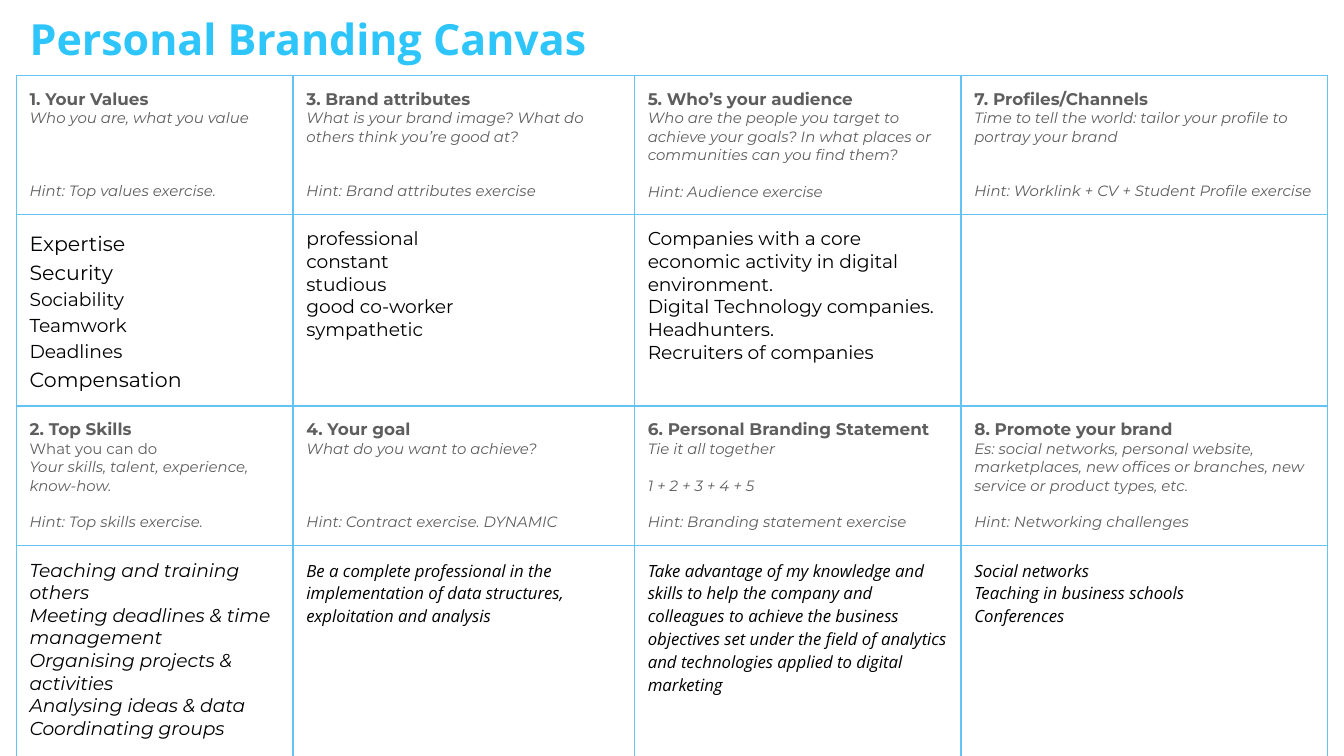
from dataclasses import dataclass

from lxml.etree import SubElement
from pptx import Presentation
from pptx.dml.color import RGBColor
from pptx.enum.text import MSO_ANCHOR as Anchor, MSO_AUTO_SIZE as AutoSize, PP_ALIGN as Align
from pptx.oxml.ns import qn
from pptx.util import Inches, Pt

TITLE_BLUE = RGBColor(0x2D, 0xC5, 0xFA)
BORDER_BLUE = RGBColor(0x64, 0xC3, 0xF5)
GREY = RGBColor(0x5E, 0x5E, 0x5E)
BLACK = RGBColor(0, 0, 0)

MONTSERRAT = "Montserrat"
OPEN_SANS = "Open Sans"

COLUMN_WIDTHS = [2.06, 2.54, 2.43, 2.73]
ROW_HEIGHTS = [0.99, 1.29, 1.04, 1.64]
MARGIN = Inches(0.1)
NOTE_LINE = 9.75  # height in points of one line of 8 pt Montserrat


@dataclass
class Line:
    """One line of text; with joined set, the next line stays in its paragraph."""
    text: str
    size: float = 10
    color: RGBColor = BLACK
    font: str = MONTSERRAT
    bold: bool = False
    italic: bool = False
    spacing: float = 1.0
    before: float = 0
    joined: bool = False


def heading(text, joined=False):
    return Line(text, 9, GREY, bold=True, joined=joined)


def note(text, gap=0, italic=True):
    """A small grey line, with a gap above it counted in lines."""
    return Line(text, 8, GREY, italic=italic, before=gap * NOTE_LINE)


def answers(*texts, **style):
    return [Line(text, **style) for text in texts]


def values(*sized_texts):
    return [Line(text, size, spacing=1.15) for text, size in sized_texts]


def statements(*texts):
    return answers(*texts, size=9, font=OPEN_SANS, italic=True)


CANVAS = [
    [
        [heading("1. Your Values"),
         note("Who you are, what you value"),
         note("Hint: Top values exercise.", gap=3)],
        [heading("3. Brand attributes"),
         note("What is your brand image? What do others think you’re good at?"),
         note("Hint: Brand attributes exercise", gap=2)],
        [heading("5. Who’s your audience", joined=True),
         note("Who are the people you target to achieve your goals? "
              "In what places or communities can you find them?"),
         note("Hint: Audience exercise", gap=1)],
        [heading("7. Profiles/Channels"),
         note("Time to tell the world: tailor your profile to portray your brand"),
         note("Hint: Worklink + CV + Student Profile exercise", gap=2)],
    ],
    [
        values(("Expertise", 11), ("Security", 11), ("Sociability", 10),
               ("Teamwork", 10), ("Deadlines", 10), ("Compensation", 11)),
        answers("professional", "constant", "studious", "good co-worker", "sympathetic"),
        answers("Companies with a core economic activity in digital environment.",
                "Digital Technology companies.", "Headhunters.", "Recruiters of companies"),
        [],
    ],
    [
        [heading("2. Top Skills"),
         note("What you can do", italic=False),
         note("Your skills, talent, experience, know-how."),
         note("Hint: Top skills exercise.", gap=1)],
        [heading("4. Your goal"),
         note("What do you want to achieve?"),
         note("Hint: Contract exercise. DYNAMIC", gap=3)],
        [heading("6. Personal Branding Statement", joined=True),
         note("Tie it all together"),
         note("1 + 2 + 3 + 4 + 5", gap=1),
         note("Hint: Branding statement exercise", gap=1)],
        [heading("8. Promote your brand", joined=True),
         note("Es: social networks, personal website, marketplaces, new offices or "
              "branches, new service or product types, etc."),
         note("Hint: Networking challenges", gap=1)],
    ],
    [
        answers("Teaching and training others", "Meeting deadlines & time management",
                "Organising projects & activities", "Analysing ideas & data",
                "Coordinating groups", italic=True),
        statements("Be a complete professional in the implementation of data structures, "
                   "exploitation and analysis"),
        statements("Take advantage of my knowledge and skills to help the company and "
                   "colleagues to achieve the business objectives set under the field of "
                   "analytics and technologies applied to digital marketing"),
        statements("Social networks", "Teaching in business schools", "Conferences"),
    ],
]


def set_margins(target):
    target.margin_left = target.margin_right = MARGIN
    target.margin_top = target.margin_bottom = MARGIN


def format_run(run, line):
    font = run.font
    font.name, font.size = line.font, Pt(line.size)
    font.bold, font.italic = line.bold, line.italic
    font.color.rgb = line.color


def write_lines(text_frame, lines):
    text = "".join(line.text + ("\v" if line.joined else "\n") for line in lines)
    text_frame.text = text.removesuffix("\n")
    remaining = iter(lines)
    for paragraph in text_frame.paragraphs:
        for index, run in enumerate(paragraph.runs):
            line = next(remaining)
            format_run(run, line)
            if index == 0:
                paragraph.alignment = Align.LEFT
                paragraph.line_spacing = line.spacing
                paragraph.space_before = Pt(line.before)


def set_borders(cell):
    properties = cell._tc.get_or_add_tcPr()
    for side in ("a:lnL", "a:lnR", "a:lnT", "a:lnB"):
        border = SubElement(properties, qn(side), w=str(Pt(0.75)))
        fill = SubElement(border, qn("a:solidFill"))
        SubElement(fill, qn("a:srgbClr"), val=str(BORDER_BLUE))


def add_title(slide, text):
    title = slide.shapes.title
    title.left, title.top = Inches(0.12), Inches(-0.01)
    title.width, title.height = Inches(7.52), Inches(0.54)
    frame = title.text_frame
    frame.auto_size = AutoSize.NONE
    frame.vertical_anchor = Anchor.TOP
    frame.word_wrap = True
    set_margins(frame)
    write_lines(frame, [Line(text, 23, TITLE_BLUE, OPEN_SANS, bold=True)])


def add_canvas(slide, rows):
    table = slide.shapes.add_table(
        len(ROW_HEIGHTS), len(COLUMN_WIDTHS), Inches(0.12), Inches(0.56),
        Inches(sum(COLUMN_WIDTHS)), Inches(sum(ROW_HEIGHTS))).table
    table.first_row = table.horz_banding = False
    for column, width in zip(table.columns, COLUMN_WIDTHS):
        column.width = Inches(width)
    for row, height, contents in zip(table.rows, ROW_HEIGHTS, rows):
        row.height = Inches(height)
        for cell, lines in zip(row.cells, contents):
            set_margins(cell)
            set_borders(cell)
            cell.fill.background()
            write_lines(cell.text_frame, lines)


def main():
    presentation = Presentation()
    presentation.slide_width = Inches(10)
    presentation.slide_height = Inches(10) * 9 // 16
    slide = presentation.slides.add_slide(presentation.slide_layouts.get_by_name("Title Only"))
    add_title(slide, "Personal Branding Canvas")
    add_canvas(slide, CANVAS)
    presentation.save("out.pptx")


if __name__ == "__main__":
    main()
